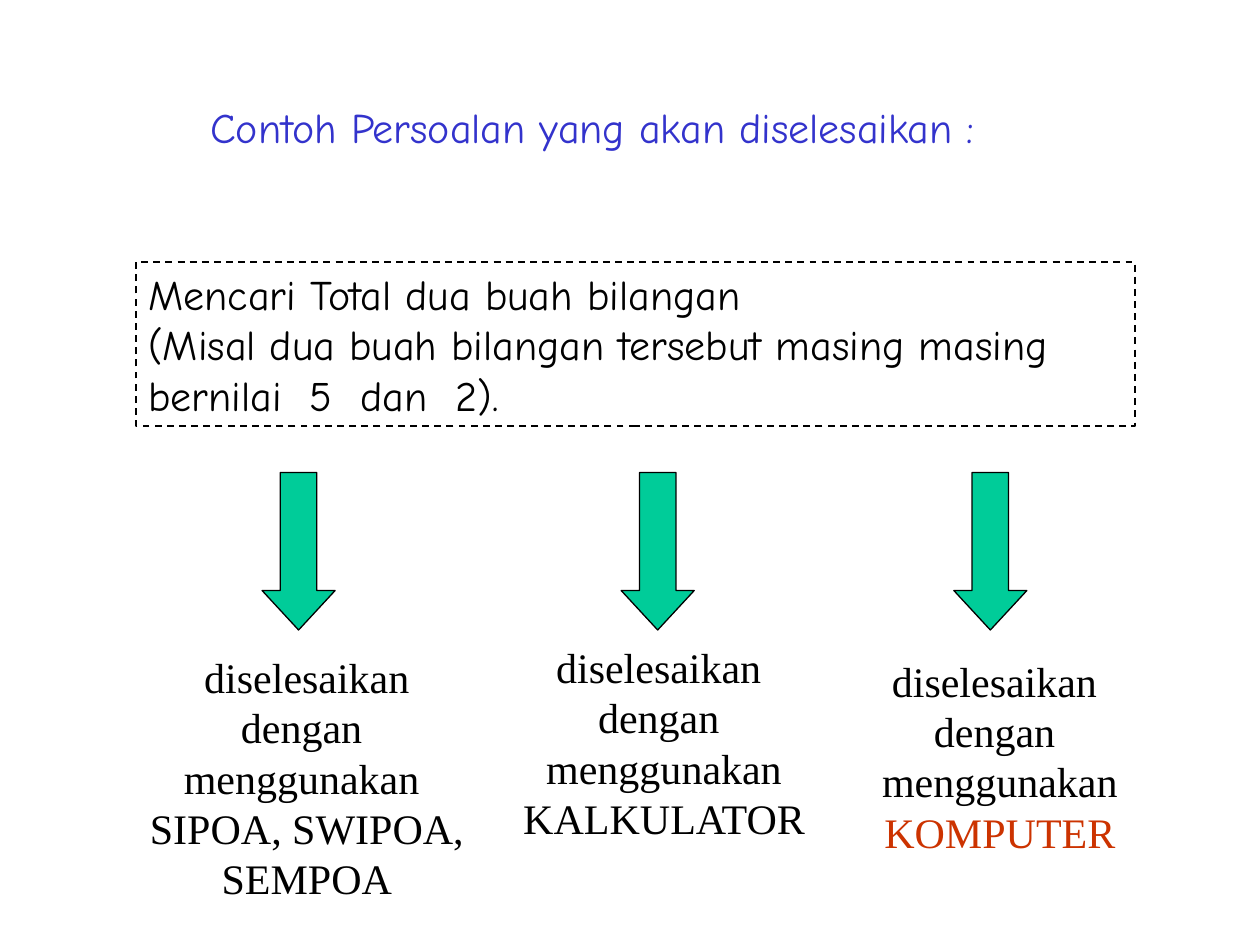
from dataclasses import dataclass

from pptx import Presentation
from pptx.dml.color import RGBColor
from pptx.enum.dml import MSO_LINE
from pptx.enum.shapes import MSO_SHAPE
from pptx.enum.text import MSO_ANCHOR, PP_ALIGN
from pptx.util import Inches, Pt

RECT, ARROW = MSO_SHAPE.RECTANGLE, MSO_SHAPE.DOWN_ARROW
LEFT, CENTER = PP_ALIGN.LEFT, PP_ALIGN.CENTER
TOP, DASH = MSO_ANCHOR.TOP, MSO_LINE.DASH

BLACK, BLUE, GREEN, RED = "000000", "3333CC", "00CC99", "CC3300"
HAND, SERIF = "Comic Neue", "Times New Roman"

# Grid of 100 columns by 75 rows on the slide
COLS, ROWS = 100, 75
WIDTH, HEIGHT = Inches(10), Inches(7.5)


@dataclass
class Area:
    col: float
    row: float
    cols: float
    rows: float

    def box(self) -> tuple[int, int, int, int]:
        return (round(self.col * WIDTH / COLS), round(self.row * HEIGHT / ROWS),
                round(self.cols * WIDTH / COLS), round(self.rows * HEIGHT / ROWS))


@dataclass
class Method:
    arrow: float  # left column of the arrow
    area: Area
    lines: list[str]
    accent: str = BLACK  # colour of the last line


METHODS = [
    Method(20.8, Area(10.9, 51.2, 26.9, 21),
           ["diselesaikan", "dengan ", "menggunakan ", "SIPOA, SWIPOA,", "SEMPOA"]),
    Method(49.3, Area(40.3, 50.4, 24.8, 17),
           ["diselesaikan ", "dengan ", "menggunakan", "KALKULATOR"]),
    Method(75.7, Area(69, 51.5, 20.7, 17),
           ["diselesaikan ", "dengan ", "menggunakan", "KOMPUTER"], RED),
]


def rgb(code: str) -> RGBColor:
    return RGBColor.from_string(code)


def write(shape, lines: list[str], face: str, color: str = BLACK,
          align=LEFT, wrap: bool = False) -> None:
    frame = shape.text_frame
    frame.word_wrap = wrap
    frame.vertical_anchor = TOP
    frame.text = "\n".join(lines)
    for para in frame.paragraphs:
        para.alignment = align
        for run in para.runs:
            run.font.name = face
            run.font.size = Pt(24)
            run.font.color.rgb = rgb(color)


def draw(slide, kind, area: Area, weight: float):
    shape = slide.shapes.add_shape(kind, *area.box())
    shape.shadow.inherit = False
    shape.fill.background()
    shape.line.color.rgb = rgb(BLACK)
    shape.line.width = Pt(weight)
    return shape


def add_method(slide, item: Method) -> None:
    arrow = draw(slide, ARROW, Area(item.arrow, 37.5, 5.8, 12.5), 0.75)
    arrow.adjustments[0] = 0.5
    arrow.adjustments[1] = 0.54
    arrow.fill.solid()
    arrow.fill.fore_color.rgb = rgb(GREEN)

    label = slide.shapes.add_textbox(*item.area.box())
    write(label, item.lines, SERIF, align=CENTER)
    last = label.text_frame.paragraphs[-1]
    last.runs[0].font.color.rgb = rgb(item.accent)


def main() -> None:
    deck = Presentation()
    deck.slide_width, deck.slide_height = WIDTH, HEIGHT
    slide = deck.slides.add_slide(deck.slide_layouts[6])

    # Heading
    title = slide.shapes.add_textbox(*Area(15.7, 7.6, 63.1, 5).box())
    write(title, ["Contoh Persoalan yang akan diselesaikan :"], HAND, BLUE)

    # Problem in a dashed frame
    task = draw(slide, RECT, Area(10.8, 20.8, 79.3, 13), 1)
    task.line.dash_style = DASH
    write(task, ["Mencari Total dua buah bilangan",
                 "(Misal dua buah bilangan tersebut masing masing "
                 "bernilai  5  dan  2)."], HAND, wrap=True)

    # Three ways to solve it
    for item in METHODS:
        add_method(slide, item)

    deck.save("out.pptx")


if __name__ == "__main__":
    main()
